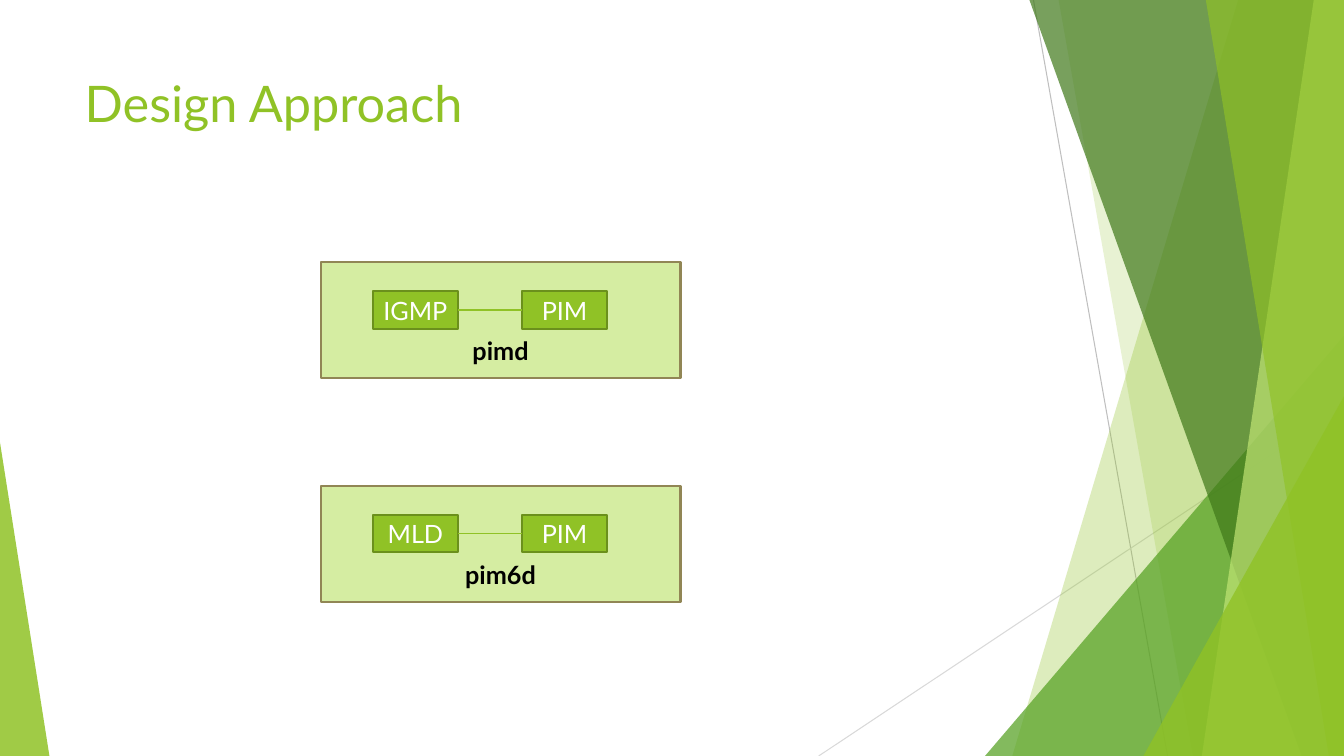
from pptx import Presentation
from pptx.dml.color import RGBColor
from pptx.enum.shapes import MSO_CONNECTOR, MSO_SHAPE
from pptx.enum.text import MSO_ANCHOR, PP_ALIGN
from pptx.oxml.ns import qn
from pptx.util import Inches, Pt
from lxml.etree import SubElement

GREEN = RGBColor(0x90, 0xC2, 0x26)
LEAF = RGBColor(0x54, 0xA0, 0x21)
FOREST = RGBColor(0x3F, 0x78, 0x19)
LIME = RGBColor(0xC0, 0xE4, 0x74)
PALE = RGBColor(0xD5, 0xED, 0xA2)
OLIVE = RGBColor(0x91, 0x86, 0x55)
MOSS = RGBColor(0x6B, 0x90, 0x1C)
GREY = RGBColor(0xBF, 0xBF, 0xBF)
SILVER = RGBColor(0xD9, 0xD9, 0xD9)
BLACK = RGBColor(0, 0, 0)
WHITE = RGBColor(0xFF, 0xFF, 0xFF)
WIDE, HIGH = 13.33, 7.5


def put_text(shape, text, size=18, color=WHITE, bold=False,
             align=PP_ALIGN.CENTER, anchor=MSO_ANCHOR.MIDDLE):
    frame = shape.text_frame
    frame.text = text
    frame.vertical_anchor = anchor
    para = frame.paragraphs[0]
    para.alignment = align
    font = para.runs[0].font
    font.name, font.size, font.bold = "Lato", Pt(size), bold
    font.color.rgb = color


def add_line(start, end, color, width):
    line = shapes.add_connector(MSO_CONNECTOR.STRAIGHT, *map(Inches, start + end))
    line.line.color.rgb = color
    line.line.width = Pt(width)
    SubElement(line._element.spPr, qn("a:effectLst"))
    return line


deck = Presentation()
deck.slide_width, deck.slide_height = Inches(WIDE), Inches(HIGH)
slide = deck.slides.add_slide(deck.slide_layouts[5])
shapes = slide.shapes

add_line((10.25, 0), (11.58, HIGH), GREY, 0.75)
add_line((WIDE, 4.03), (8.12, HIGH), SILVER, 0.75)

facets = [
    ("band", (12.28, 10.04), GREEN, 30),
    ("band", (10.5, 11.83), GREEN, 20),
    ("peak", (9.77, 3.33, 3.56, 1), LEAF, 72),
    ("band", (10.21, 12.91), FOREST, 70),
    ("band", (13.03, 11.92), LIME, 70),
    ("band", (11.96, 13.18), GREEN, 65),
    ("peak", (11.34, 3.93, 1.99, 1), GREEN, 80),
    ("peak", (0, 4.39, 0.49, 0), GREEN, 85),
]
for kind, size, color, alpha in facets:
    if kind == "band":
        top, base = size
        path = shapes.build_freeform(Inches(top), 0)
        path.add_line_segments([(Inches(x), Inches(y)) for x, y in
                                ((WIDE, 0), (WIDE, HIGH), (base, HIGH))])
        facet = path.convert_to_shape()
    else:
        left, top, width, tip = size
        facet = shapes.add_shape(MSO_SHAPE.ISOSCELES_TRIANGLE, Inches(left),
                                 Inches(top), Inches(width), Inches(HIGH - top))
        facet.adjustments[0] = tip
    facet.shadow.inherit = False
    facet.line.fill.background()
    facet.fill.solid()
    facet.fill.fore_color.rgb = color
    tint = facet._element.spPr.find(qn("a:solidFill"))[0]
    SubElement(tint, qn("a:alpha"), val=str(alpha * 1000))

title = shapes.title
title.left, title.top = Inches(0.74), Inches(0.67)
title.width, title.height = Inches(9.4), Inches(1.44)
put_text(title, "Design Approach", size=36, color=GREEN,
         align=PP_ALIGN.LEFT, anchor=MSO_ANCHOR.TOP)

for top, daemon, group in ((2.6, "pimd", "IGMP"), (4.82, "pim6d", "MLD")):
    boxes = []
    for left, y, width, height, fill, edge in (
            (3.18, top, 3.57, 1.15, PALE, OLIVE),
            (3.7, top + 0.29, 0.84, 0.37, GREEN, MOSS),
            (5.18, top + 0.29, 0.84, 0.37, GREEN, MOSS)):
        box = shapes.add_shape(MSO_SHAPE.RECTANGLE, Inches(left), Inches(y),
                               Inches(width), Inches(height))
        box.shadow.inherit = False
        box.fill.solid()
        box.fill.fore_color.rgb = fill
        box.line.color.rgb = edge
        box.line.width = Pt(1.5)
        box.text_frame.margin_left = box.text_frame.margin_right = 0
        boxes.append(box)
    panel, first, second = boxes
    panel.text_frame.margin_bottom = Inches(0.12)
    put_text(panel, daemon, color=BLACK, bold=True, anchor=MSO_ANCHOR.BOTTOM)
    put_text(first, group)
    put_text(second, "PIM")
    link = add_line((4.54, top + 0.48), (5.18, top + 0.48), GREEN, 1)
    link.begin_connect(first, 3)
    link.end_connect(second, 1)

deck.save("out.pptx")
